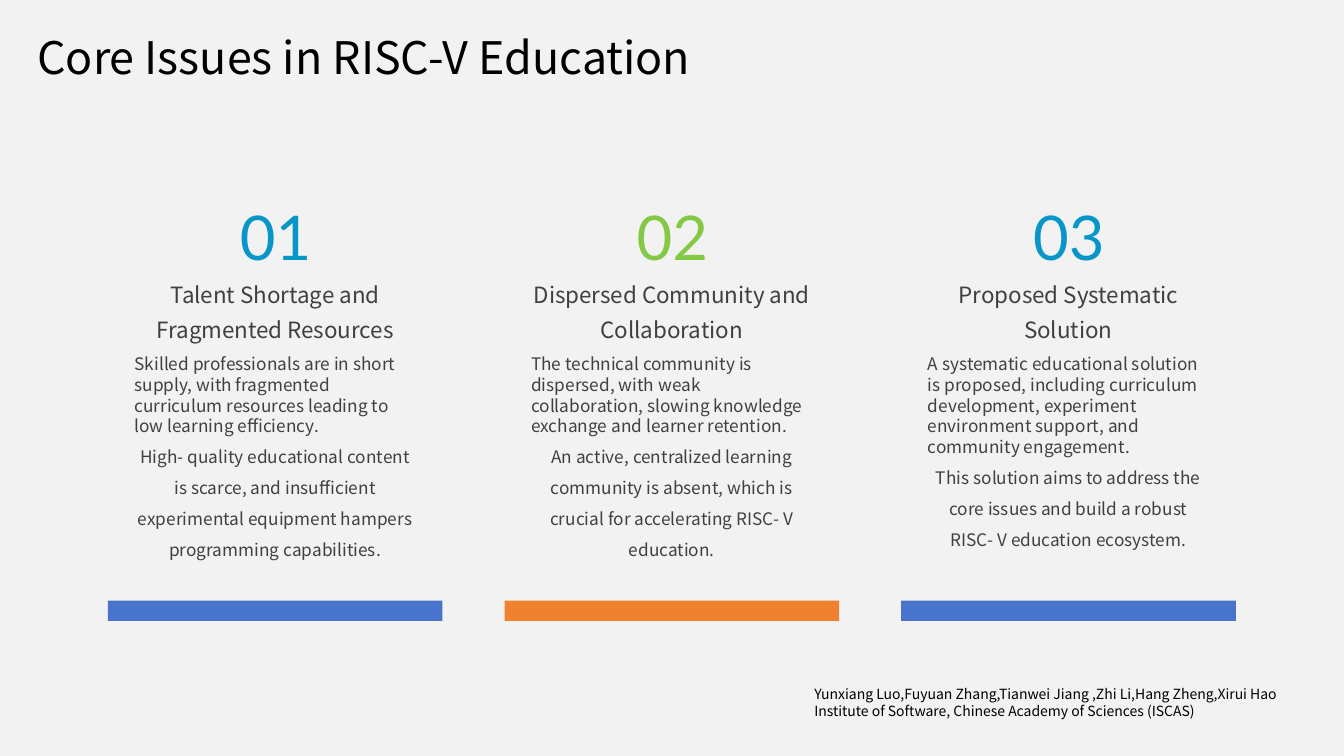
from pptx import Presentation
from pptx import util as u
from pptx.dml import color
from pptx.enum import shapes, text

COLORS = {
    "paper": "F2F2F2",
    "blue": "4874CB",
    "orange": "EE822F",
    "cyan": "0896C8",
    "green": "84C945",
    "grey": "404040",
    "black": "000000",
}

ISSUES = [
    ("01", "cyan", "blue", "Talent Shortage and Fragmented Resources",
     "Skilled professionals are in short supply, with fragmented curriculum "
     "resources leading to low learning efficiency.",
     "High- quality educational content is scarce, and insufficient "
     "experimental equipment hampers programming capabilities."),
    ("02", "green", "orange", "Dispersed Community and Collaboration",
     "The technical community is dispersed, with weak collaboration, slowing "
     "knowledge exchange and learner retention.",
     "An active, centralized learning community is absent, which is crucial "
     "for accelerating RISC- V education."),
    ("03", "cyan", "blue", "Proposed Systematic Solution",
     "A systematic educational solution is proposed, including curriculum "
     "development, experiment environment support, and community engagement.",
     "This solution aims to address the core issues and build a robust "
     "RISC- V education ecosystem."),
]
CARD_LEFT, CARD_WIDTH, CARD_STEP = 6.42, 19.92, 23.61


class SlideBuilder:
    """Draws styled elements on a slide divided into 80 columns and 45 rows."""

    columns, rows = 80, 45
    body_font, number_font = "Noto Sans CJK SC", "Lato"

    def __init__(self, presentation):
        self.column = presentation.slide_width / self.columns
        self.row = presentation.slide_height / self.rows
        self.slide = presentation.slides.add_slide(presentation.slide_layouts[6])

    def place(self, left, top, width, height):
        return (round(left * self.column), round(top * self.row),
                round(width * self.column), round(height * self.row))

    def rectangle(self, *cell, fill):
        shape = self.slide.shapes.add_shape(
            shapes.MSO_SHAPE.RECTANGLE, *self.place(*cell))
        shape.shadow.inherit = False
        shape.fill.solid()
        shape.fill.fore_color.rgb = color.RGBColor.from_string(COLORS[fill])
        shape.line.fill.background()

    def text_box(self, *cell, middle=False, grow=False, inset=True):
        shape = self.slide.shapes.add_textbox(*self.place(*cell))
        frame = shape.text_frame
        frame.word_wrap = True
        if middle:
            frame.vertical_anchor = text.MSO_ANCHOR.MIDDLE
        if grow:
            frame.auto_size = text.MSO_AUTO_SIZE.SHAPE_TO_FIT_TEXT
        if not inset:
            frame.margin_left = frame.margin_right = 0
            frame.margin_top = frame.margin_bottom = 0
        return frame

    def add_text(self, frame, content, *, size, fill="grey", font=body_font,
                 centred=False, spacing=1.0):
        first = frame.paragraphs[0]
        paragraph = frame.add_paragraph() if first.runs else first
        paragraph.alignment = text.PP_ALIGN.CENTER if centred else text.PP_ALIGN.LEFT
        paragraph.line_spacing = spacing
        run = paragraph.add_run()
        run.text = content
        run.font.name = font
        run.font.size = u.Pt(size)
        run.font.color.rgb = color.RGBColor.from_string(COLORS[fill])

    def issue(self, left, number, number_fill, bar_fill, heading, problem, detail):
        self.rectangle(left, 13.38, CARD_WIDTH, 23.58, fill="paper")
        self.rectangle(left, 35.76, CARD_WIDTH, 1.2, fill=bar_fill)
        self.add_text(self.text_box(left + 5.82, 10.2, 8.34, 5.34, grow=True), number,
                      size=44, fill=number_fill, font=self.number_font,
                      centred=True, spacing=1.3)
        self.add_text(self.text_box(left + 1, 16.2, 17.92, 4.26, middle=True), heading,
                      size=16, centred=True, spacing=1.3)
        body = self.text_box(left + 1, 20.76, 17.92, 14.3)
        self.add_text(body, problem, size=12.3)
        self.add_text(body, detail, size=12.3, centred=True, spacing=1.5)


def main():
    presentation = Presentation()
    presentation.slide_width = u.Inches(13.33)
    presentation.slide_height = u.Inches(7.5)
    builder = SlideBuilder(presentation)

    builder.rectangle(0, 0, builder.columns, builder.rows, fill="paper")
    for index, issue in enumerate(ISSUES):
        builder.issue(CARD_LEFT + index * CARD_STEP, *issue)

    title = builder.text_box(2.22, 1.62, 52.4, 2.82, middle=True, inset=False)
    builder.add_text(title, "Core Issues in RISC-V Education",
                     size=32, fill="black", spacing=1.2)

    authors = builder.text_box(47.88, 40.5, 31.08, 3.42)
    for line in ("Yunxiang Luo,Fuyuan Zhang,Tianwei Jiang ,Zhi Li,Hang Zheng,Xirui Hao",
                 "Institute of Software, Chinese Academy of Sciences (ISCAS)"):
        builder.add_text(authors, line, size=10, fill="black")

    presentation.save("out.pptx")


if __name__ == "__main__":
    main()
